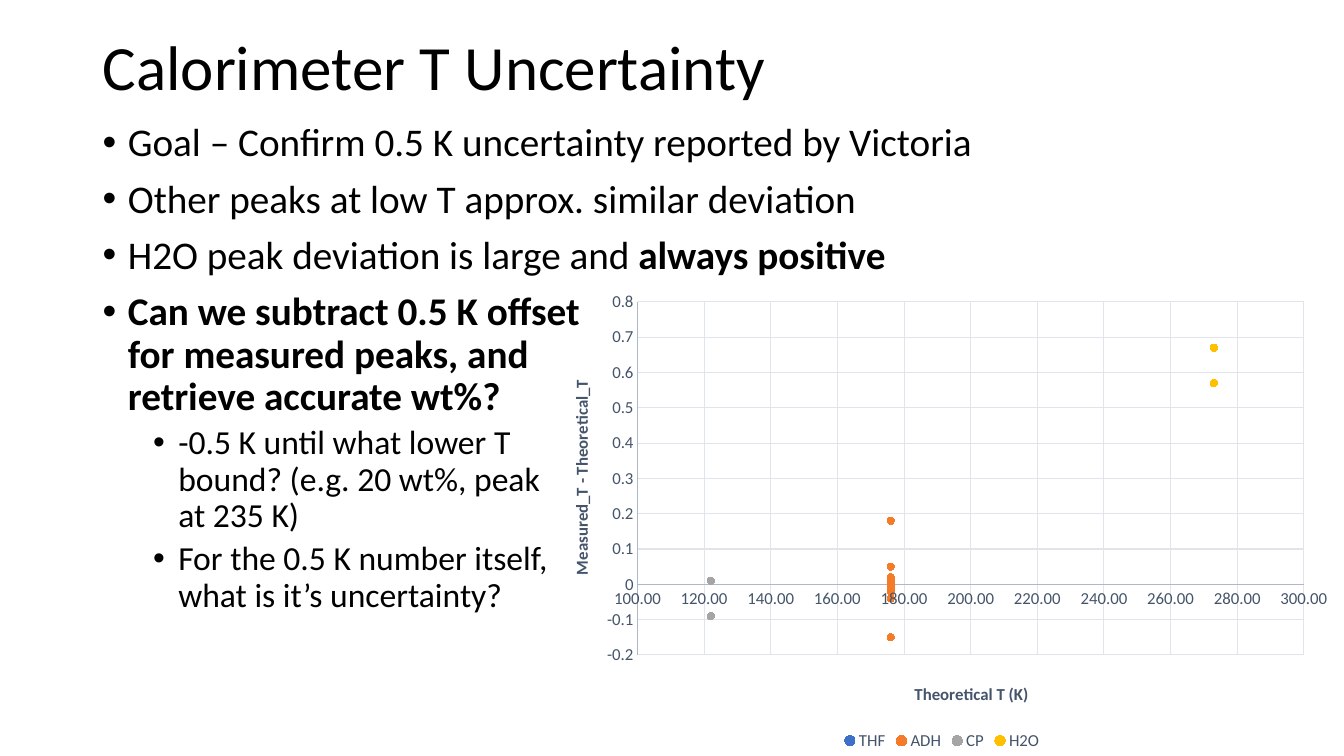
from dataclasses import dataclass, field

from lxml import etree
from pptx import Presentation
from pptx import util as u
from pptx.chart.data import XyChartData
from pptx.dml.color import RGBColor
from pptx.enum import chart as ch, text
from pptx.oxml.ns import qn

W, H = 13.33, 7.5
FONT = "Calibri"
COLORS = {"text": "000000", "label": "44546A", "axis": "ADB9CA", "grid": "E0E5EB",
          "THF": "3E70CA", "ADH": "F67B28", "CP": "A5A5A5", "H2O": "FFC000"}


@dataclass
class Box:
    x: float
    y: float
    w: float
    h: float

    def emu(self) -> list[int]:
        return [u.Inches(v) for v in (self.x * W, self.y * H, self.w * W, self.h * H)]


@dataclass
class Bullet:
    lines: list[str]
    level: int = 0
    bold: bool = False
    bold_tail: str = ""


@dataclass
class Series:
    name: str
    t: float = 0
    deviations: list[float] = field(default_factory=list)


@dataclass
class Scale:
    title: str
    low: float
    high: float
    step: float
    fmt: str
    title_at: tuple[float, float]


TITLE_BOX = Box(0.069, 0.053, 0.863, 0.088)
BODY_BOX = Box(0.069, 0.156, 0.893, 0.844)
CHART_BOX = Box(0.404, 0.373, 0.596, 0.627)

BULLETS = [
    Bullet(["Goal – Confirm 0.5 K uncertainty reported by Victoria"]),
    Bullet(["Other peaks at low T approx. similar deviation"]),
    Bullet(["H2O peak deviation is large and "], bold_tail="always positive"),
    Bullet(["Can we subtract 0.5 K offset", "for measured peaks, and",
            "retrieve accurate wt%?"], bold=True),
    Bullet(["-0.5 K until what lower T", "bound? (e.g. 20 wt%, peak", "at 235 K)"], 1),
    Bullet(["For the 0.5 K number itself,", "what is it’s uncertainty?"], 1),
]
SERIES = [
    Series("THF"),
    Series("ADH", 176, [-0.02, -0.01, -0.15, 0, -0.02, -0.04, 0.05, 0.01, 0.02,
                        -0.02, 0, 0.18, 0.01]),
    Series("CP", 122, [0.01, -0.09]),
    Series("H2O", 273, [0.67, 0.57]),
]
X_SCALE = Scale("Theoretical T (K)", 100, 300, 20, "0.00", (0.46, 0.84))
Y_SCALE = Scale("Measured_T - Theoretical_T", -0.2, 0.8, 0.1, "General", (0.03, 0.2))


def rgb(name: str) -> RGBColor:
    return RGBColor.from_string(COLORS[name])


def set_attrs(obj, values: dict) -> None:
    for name, value in values.items():
        setattr(obj, name, value)


def style_font(font, size: float, color: str, bold: bool = False) -> None:
    set_attrs(font, {"name": FONT, "size": u.Pt(size), "bold": bold})
    font.color.rgb = rgb(color)


def add_run(p, words: str, size: float, bold: bool = False) -> None:
    r = p.add_run()
    r.text = words
    style_font(r.font, size, "text", bold)


def add_text_frame(s, box: Box, anchor):
    tf = s.shapes.add_textbox(*box.emu()).text_frame
    set_attrs(tf, {"word_wrap": True, "vertical_anchor": anchor})
    return tf


def add_bullet(p, item: Bullet, first: bool) -> None:
    size, before = (24, 5) if item.level else (28, 10)
    set_attrs(p, {"level": item.level, "line_spacing": 0.9,
                  "space_before": u.Pt(0 if first else before)})
    pPr = p._p.get_or_add_pPr()
    pPr.set("marL", str(u.Inches(0.25 + 0.5 * item.level)))
    pPr.set("indent", str(-u.Inches(0.25)))
    etree.SubElement(pPr, qn("a:buFont")).set("typeface", "Arial")
    etree.SubElement(pPr, qn("a:buChar")).set("char", "•")
    for i, line in enumerate(item.lines):
        if i:
            p.add_line_break()
        add_run(p, line, size, item.bold)
    if item.bold_tail:
        add_run(p, item.bold_tail, size, True)


def place(parent, index: int, **shares: float) -> None:
    for old in parent.findall(qn("c:layout")):
        parent.remove(old)
    layout = etree.Element(qn("c:layout"))
    manual = etree.SubElement(layout, qn("c:manualLayout"))
    values = {"xMode": "edge", "yMode": "edge", **shares}
    if "w" in shares:
        values = {"layoutTarget": "inner", **values}
    for tag, value in values.items():
        etree.SubElement(manual, qn(f"c:{tag}")).set("val", str(value))
    parent.insert(index, layout)


def style_axis(axis, scale: Scale) -> None:
    set_attrs(axis, {"minimum_scale": scale.low, "maximum_scale": scale.high,
                     "major_unit": scale.step, "has_major_gridlines": True,
                     "major_tick_mark": ch.XL_TICK_MARK.NONE,
                     "minor_tick_mark": ch.XL_TICK_MARK.NONE,
                     "tick_label_position": ch.XL_TICK_LABEL_POSITION.NEXT_TO_AXIS})
    set_attrs(axis.tick_labels, {"number_format": scale.fmt,
                                 "number_format_is_linked": False})
    style_font(axis.tick_labels.font, 12, "label")
    for part, color in ((axis, "axis"), (axis.major_gridlines, "grid")):
        part.format.line.width = u.Pt(0.75)
        part.format.line.color.rgb = rgb(color)
    title = axis.axis_title
    r = title.text_frame.paragraphs[0].add_run()
    r.text = scale.title
    style_font(r.font, 12, "label", True)
    x, y = scale.title_at
    place(title._element, 1, x=x, y=y)


def keep_in_legend(ser) -> None:
    for ref in ser._element.iter(qn("c:numRef")):
        cells = ref.find(qn("c:f"))
        cells.text = cells.text.split(":")[0]
        for count in ref.iter(qn("c:ptCount")):
            count.set("val", "1")


def style_series(ser, item: Series) -> None:
    ser.smooth = False
    ser.format.line.fill.background()
    set_attrs(ser.marker, {"style": ch.XL_MARKER_STYLE.CIRCLE, "size": 5})
    ser.marker.format.fill.solid()
    ser.marker.format.fill.fore_color.rgb = rgb(item.name)
    ser.marker.format.line.fill.background()
    if not item.deviations:
        keep_in_legend(ser)


def add_deviation_chart(s) -> None:
    data = XyChartData()
    for item in SERIES:
        points = data.add_series(item.name)
        for value in item.deviations:
            points.add_data_point(item.t, value)
    chart = s.shapes.add_chart(ch.XL_CHART_TYPE.XY_SCATTER, *CHART_BOX.emu(), data).chart
    set_attrs(chart, {"has_title": False, "has_legend": True})
    style_font(chart.font, 10, "text")
    chart.plots[0].vary_by_categories = False
    for ser, item in zip(chart.plots[0].series, SERIES):
        style_series(ser, item)
    style_axis(chart.category_axis, X_SCALE)
    style_axis(chart.value_axis, Y_SCALE)
    set_attrs(chart.legend, {"position": ch.XL_LEGEND_POSITION.BOTTOM,
                             "include_in_layout": False})
    style_font(chart.legend.font, 12, "label")
    place(chart.legend._element, 1, x=0.37, y=0.95)
    place(chart._chartSpace.chart.plotArea, 0, x=0.118, y=0.042, w=0.832, h=0.745)


def main() -> None:
    """Build the calorimeter uncertainty slide."""
    prs = Presentation()
    set_attrs(prs, {"slide_width": u.Inches(W), "slide_height": u.Inches(H)})
    s = prs.slides.add_slide(prs.slide_layouts[6])
    tf = add_text_frame(s, BODY_BOX, text.MSO_ANCHOR.TOP)
    for i, item in enumerate(BULLETS):
        add_bullet(tf.add_paragraph() if i else tf.paragraphs[0], item, i == 0)
    p = add_text_frame(s, TITLE_BOX, text.MSO_ANCHOR.BOTTOM).paragraphs[0]
    p.line_spacing = 0.7
    add_run(p, "Calorimeter T Uncertainty", 45)
    add_deviation_chart(s)
    prs.save("out.pptx")


if __name__ == "__main__":
    main()
